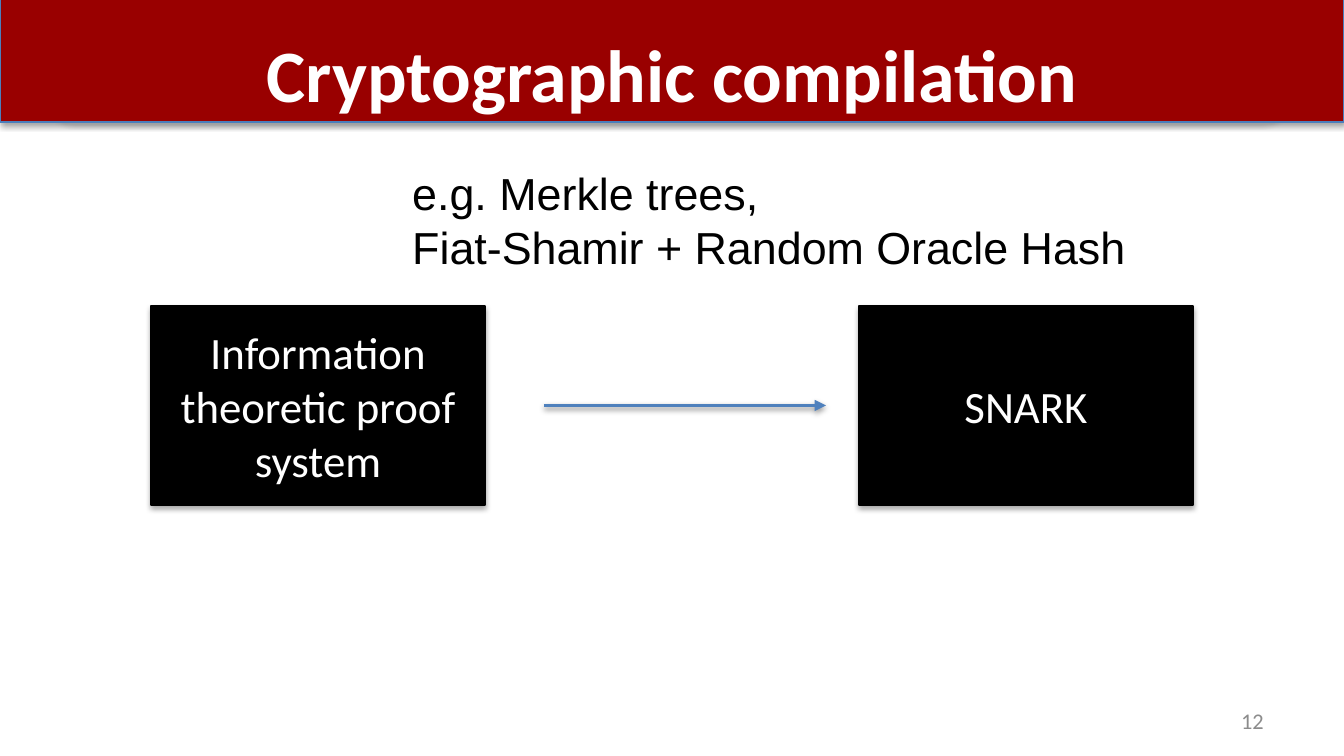
import pptx
import pptx.util
import pptx.dml.color
import pptx.enum.shapes
import pptx.enum.text
import pptx.oxml
import pptx.oxml.ns
from dataclasses import dataclass

EMU_PER_PX = 914400 / 134.4
SLIDE_W, SLIDE_H = 1344, 756
SHAPES = pptx.enum.shapes.MSO_SHAPE
ALIGN = pptx.enum.text.PP_ALIGN
ANCHOR = pptx.enum.text.MSO_ANCHOR


@dataclass(frozen=True)
class Theme:
    banner: str = "990000"
    banner_line: str = "4B7EBC"
    frame_line: str = "7D60A0"
    arrow: str = "4F81BD"
    dark: str = "000000"
    light: str = "FFFFFF"
    muted: str = "8C8C8C"
    font: str = "Calibri"
    note_font: str = "Arial"
    title_size: float = 39.6
    body_size: float = 24
    number_size: float = 12
    outline: float = 0.75
    arrow_width: float = 2


THEME = Theme()


def px(n):
    return pptx.util.Emu(round(n * EMU_PER_PX))


def rgb(value):
    return pptx.dml.color.RGBColor.from_string(value)


def add_shadow(s, alpha=35, dist=1.8):
    """Give a shape or connector a soft shadow straight below it."""
    sp_pr = s._element.spPr
    for old in sp_pr.findall(pptx.oxml.ns.qn("a:effectLst")):
        sp_pr.remove(old)
    sp_pr.append(pptx.oxml.parse_xml(
        f'<a:effectLst {pptx.oxml.ns.nsdecls("a")}>'
        f'<a:outerShdw blurRad="{pptx.util.Pt(3.1)}" dist="{pptx.util.Pt(dist)}" '
        'dir="5400000" rotWithShape="0">'
        f'<a:srgbClr val="{THEME.dark}"><a:alpha val="{alpha * 1000}"/></a:srgbClr>'
        '</a:outerShdw></a:effectLst>'))


def write_text(s, *lines, size=THEME.body_size, color=THEME.dark, font=THEME.font,
               bold=False, align=ALIGN.LEFT, anchor=ANCHOR.TOP, wrap=True):
    tf = s.text_frame
    tf.word_wrap = wrap
    tf.vertical_anchor = anchor
    for i, line in enumerate(lines):
        p = tf.add_paragraph() if i else tf.paragraphs[0]
        p.alignment = align
        r = p.add_run()
        r.text = line
        r.font.name = font
        r.font.size = pptx.util.Pt(size)
        r.font.bold = bold
        r.font.color.rgb = rgb(color)
    return tf


def add_box(slide, kind, x, y, w, h, fill, line):
    s = slide.shapes.add_shape(kind, px(x), px(y), px(w), px(h))
    if fill:
        s.fill.solid()
        s.fill.fore_color.rgb = rgb(fill)
    else:
        s.fill.background()
    s.line.color.rgb = rgb(line)
    s.line.width = pptx.util.Pt(THEME.outline)
    add_shadow(s)
    return s


def add_note(slide, x, y, w, h, *lines, **fmt):
    s = slide.shapes.add_textbox(px(x), px(y), px(w), px(h))
    write_text(s, *lines, **fmt)


def add_arrow(slide, x1, x2, y):
    s = slide.shapes.add_connector(
        pptx.enum.shapes.MSO_CONNECTOR.STRAIGHT, px(x1), px(y), px(x2), px(y))
    s.line.color.rgb = rgb(THEME.arrow)
    s.line.width = pptx.util.Pt(THEME.arrow_width)
    s.line._get_or_add_ln().append(pptx.oxml.parse_xml(
        f'<a:tailEnd {pptx.oxml.ns.nsdecls("a")} type="triangle"/>'))
    add_shadow(s, alpha=38, dist=1.6)


def add_title(slide, text):
    s = slide.shapes.title
    s.left, s.top, s.width, s.height = px(67), px(19), px(1210), px(91)
    tf = write_text(s, text, size=THEME.title_size, color=THEME.light, bold=True,
                    align=ALIGN.CENTER, wrap=False)
    tf.auto_size = pptx.enum.text.MSO_AUTO_SIZE.NONE
    tf.margin_top = px(10)
    # Bring the title in front of the banner
    slide.shapes._spTree.append(s._element)


def main():
    prs = pptx.Presentation()
    prs.slide_width, prs.slide_height = px(SLIDE_W), px(SLIDE_H)
    slide = prs.slides.add_slide(prs.slide_layouts[5])

    # Banner, title and page number
    add_box(slide, SHAPES.ROUNDED_RECTANGLE, 54, 0, 1227, 120, None, THEME.frame_line)
    add_box(slide, SHAPES.RECTANGLE, 0, -1, SLIDE_W, 123, THEME.banner, THEME.banner_line)
    add_title(slide, "Cryptographic compilation")
    add_note(slide, 963, 701, 314, 40, "12", size=THEME.number_size,
             color=THEME.muted, align=ALIGN.RIGHT, anchor=ANCHOR.MIDDLE)

    # Two boxes placed symmetrically on the slide
    box_x, box_y, box_w, box_h = 151, 306, 334, 199
    for x, text in ((box_x, "Information theoretic proof system"),
                    (SLIDE_W - box_x - box_w, "SNARK")):
        s = add_box(slide, SHAPES.RECTANGLE, x, box_y, box_w, box_h, THEME.dark, THEME.dark)
        write_text(s, text, color=THEME.light, align=ALIGN.CENTER, anchor=ANCHOR.MIDDLE)

    # Compilation step
    add_arrow(slide, 544, 826, box_y + box_h / 2)
    add_note(slide, 399, 159, 747, 122, "e.g. Merkle trees,",
             "Fiat-Shamir + Random Oracle Hash", font=THEME.note_font, wrap=False)

    prs.save("out.pptx")


if __name__ == "__main__":
    main()
